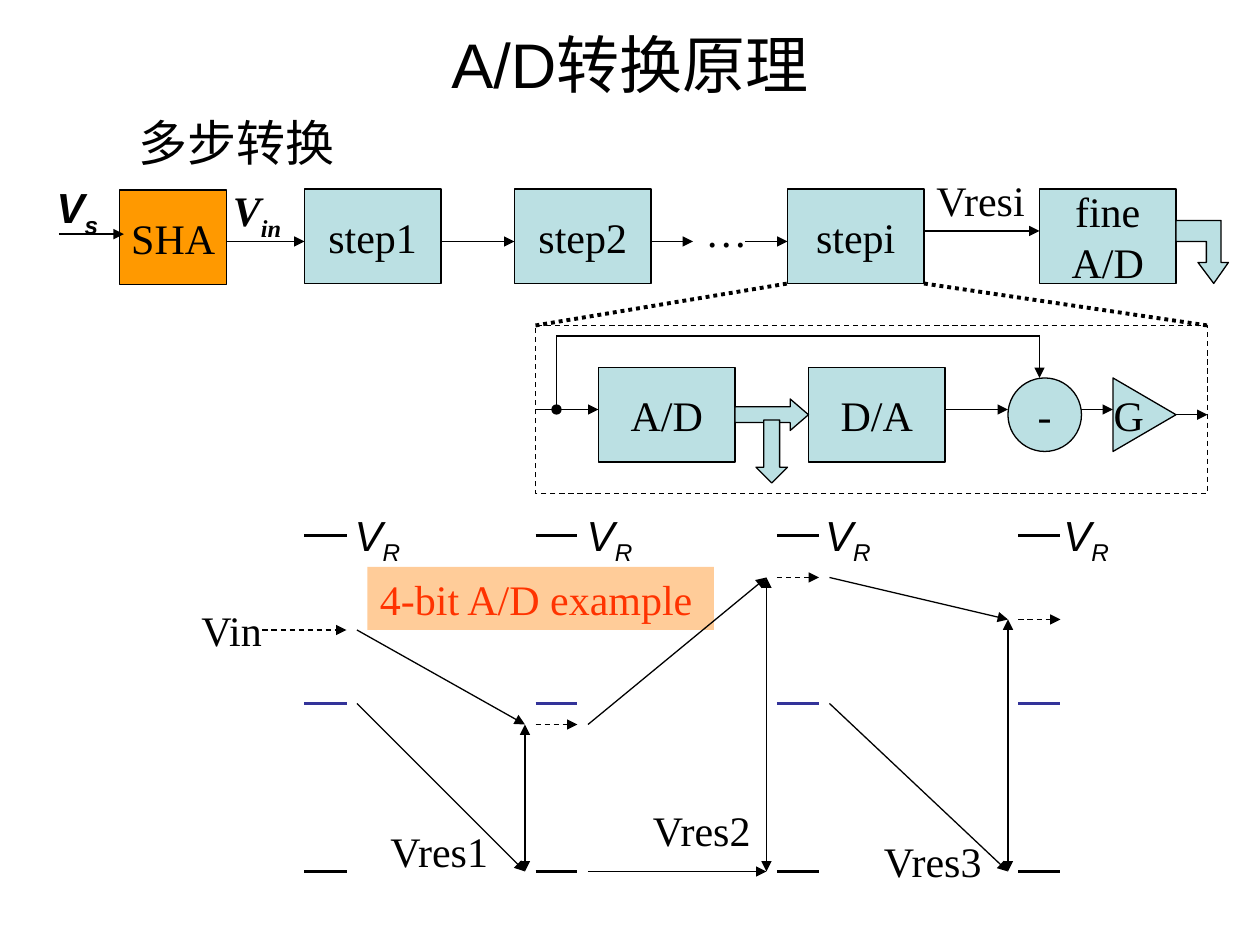
from dataclasses import dataclass
from typing import NamedTuple, Optional

from lxml.etree import SubElement
from pptx import Presentation
from pptx.dml.color import RGBColor
from pptx.enum.dml import MSO_LINE_DASH_STYLE as Dash
from pptx.enum.shapes import MSO_CONNECTOR as Connector, MSO_SHAPE as Preset
from pptx.enum.text import MSO_ANCHOR as Anchor, MSO_AUTO_SIZE as AutoSize, PP_ALIGN as Align
from pptx.oxml.ns import qn
from pptx.util import Pt

PX = 7620  # EMU per px, 120 px to the inch


@dataclass(frozen=True)
class Theme:
    black: str = "000000"
    block: str = "BBE0E3"
    sampler: str = "FF9900"
    middle: str = "333399"
    note_fill: str = "FFCC99"
    note_text: str = "FF3300"
    serif: str = "Times New Roman"
    sans: str = "Arial"
    title: int = 36
    subtitle: int = 28
    body: int = 24
    thin: float = 0.75
    thick: float = 2.25


THEME = Theme()


class Block(NamedTuple):
    text: str
    x: int
    y: int
    w: int = 130
    h: int = 90
    fill: Optional[str] = THEME.block
    preset: Preset = Preset.RECTANGLE
    dash: Optional[Dash] = None
    adjust: tuple = ()


class Line(NamedTuple):
    x1: int
    y1: int
    x2: int
    y2: int
    tail: Optional[str] = "triangle"
    head: Optional[str] = None
    dash: Optional[Dash] = None
    width: float = THEME.thin
    color: str = THEME.black


class Label(NamedTuple):
    text: str
    x: int
    y: int
    w: int
    h: int = 60
    sub: str = ""
    font: str = THEME.serif
    size: int = THEME.body
    bold: bool = False
    italic: bool = False


def rgb(color: str) -> RGBColor:
    return RGBColor.from_string(color)


def write(frame, text: str, *, sub: str = "", font: str = THEME.serif, size: int = THEME.body,
          color: str = THEME.black, bold: bool = False, italic: bool = False,
          align: Align = Align.LEFT) -> None:
    """Fill a frame, one paragraph a line, with an optional subscript at the end."""
    for number, line in enumerate(text.split("\n")):
        para = frame.add_paragraph() if number else frame.paragraphs[0]
        para.alignment = align
        for part in filter(None, (line, sub)):
            span = para.add_run()
            span.text = part
            span.font.name, span.font.size = font, Pt(size)
            span.font.bold, span.font.italic = bold, italic
            span.font.color.rgb = rgb(color)
            if part == sub:
                span.font._element.set("baseline", "-25000")


def outline(shape, dash: Optional[Dash] = None) -> None:
    shape.line.color.rgb = rgb(THEME.black)
    shape.line.width = Pt(THEME.thin)
    if dash:
        shape.line.dash_style = dash


def draw_block(shapes, block: Block):
    shape = shapes.add_shape(block.preset, *(PX * n for n in (block.x, block.y, block.w, block.h)))
    shape.shadow.inherit = False
    for index, value in enumerate(block.adjust):
        shape.adjustments[index] = value
    if block.fill:
        shape.fill.solid()
        shape.fill.fore_color.rgb = rgb(block.fill)
    else:
        shape.fill.background()
    outline(shape, block.dash)
    if block.text:
        shape.text_frame.word_wrap = False
        shape.text_frame.vertical_anchor = Anchor.MIDDLE
        write(shape.text_frame, block.text, align=Align.CENTER)
    return shape


def draw_line(shapes, line: Line) -> None:
    connector = shapes.add_connector(
        Connector.STRAIGHT, *(PX * n for n in (line.x1, line.y1, line.x2, line.y2)))
    connector.line.color.rgb = rgb(line.color)
    connector.line.width = Pt(line.width)
    if line.dash:
        connector.line.dash_style = line.dash
    for tag, kind in (("a:headEnd", line.head), ("a:tailEnd", line.tail)):
        if kind:
            SubElement(connector.line._get_or_add_ln(), qn(tag), type=kind)
    SubElement(connector._element.spPr, qn("a:effectLst"))


def draw_label(shapes, label: Label) -> None:
    box = shapes.add_textbox(*(PX * n for n in (label.x, label.y, label.w, label.h)))
    box.text_frame.word_wrap = True
    box.text_frame.auto_size = AutoSize.SHAPE_TO_FIT_TEXT
    write(box.text_frame, label.text, sub=label.sub, font=label.font, size=label.size,
          bold=label.bold, italic=label.italic)


def draw_title(slide) -> None:
    title = slide.shapes.title
    title.left, title.top, title.width, title.height = (PX * n for n in (90, 30, 1020, 60))
    title.text_frame.vertical_anchor = Anchor.MIDDLE
    title.text_frame.auto_size = AutoSize.NONE
    write(title.text_frame, "A/D转换原理", font=THEME.sans, size=THEME.title, align=Align.CENTER)


def draw_example(shapes) -> None:
    # Highlighted note
    note = draw_block(shapes, Block("", 350, 540, 330, 60, THEME.note_fill))
    note.line.fill.background()
    note.text_frame.vertical_anchor = Anchor.TOP
    write(note.text_frame, "4-bit A/D example", color=THEME.note_text)

    # Level marks: full scale, middle and zero at each stage
    for x, label_x in ((290, 326), (510, 547), (740, 774), (970, 1001)):
        for y, color in ((510, THEME.black), (670, THEME.middle), (830, THEME.black)):
            draw_line(shapes, Line(x, y, x + 40, y, tail=None, width=THEME.thick, color=color))
        draw_label(shapes, Label("V", label_x, 479, 100, 67, "R", THEME.sans, italic=True))

    # Input level of each stage
    for x1, x2, y in ((250, 330, 600), (510, 550, 690), (740, 780, 550), (970, 1010, 590)):
        draw_line(shapes, Line(x1, y, x2, y, dash=Dash.DASH))

    # Residue ranges, stretched from one stage to the next
    for x1, x2, level, base, top in ((340, 500, 600, 670, 690), (560, 730, 690, 830, 550),
                                     (790, 960, 550, 670, 590)):
        draw_line(shapes, Line(x1, level, x2, top))
        draw_line(shapes, Line(x1, base, x2, 830))
        draw_line(shapes, Line(x2, 830, x2, top, head="triangle"))

    for text, x, y, w in (("Vin", 180, 570, 100), ("Vres1", 360, 780, 130),
                          ("Vres2", 610, 760, 130), ("Vres3", 830, 790, 130)):
        draw_label(shapes, Label(text, x, y, w))


def draw_pipeline(shapes) -> None:
    # Chain of conversion steps
    for block in (Block("SHA", 114, 181, 102, fill=THEME.sampler), Block("step1", 290, 180),
                  Block("step2", 490, 180), Block("stepi", 750, 180),
                  Block("fine\nA/D", 990, 180)):
        draw_block(shapes, block)
    for x1, x2, y in ((56, 118, 223), (216, 290, 230), (420, 490, 230), (620, 660, 230),
                      (710, 750, 230), (880, 990, 220)):
        draw_line(shapes, Line(x1, y, x2, y))
    for label in (Label("V", 42, 167, 100, 67, "s", THEME.sans, bold=True, italic=True),
                  Label("V", 210, 170, 100, 67, "in", bold=True, italic=True),
                  Label("…", 660, 190, 70), Label("Vresi", 880, 160, 120)):
        draw_label(shapes, label)

    # Bent output arrow
    builder = shapes.build_freeform(1156, 270, scale=PX)
    builder.add_line_segments([(1141, 250), (1149, 250), (1149, 230), (1120, 230), (1120, 210),
                               (1163, 210), (1163, 250), (1170, 250)], close=True)
    output = builder.convert_to_shape()
    output.shadow.inherit = False
    output.fill.solid()
    output.fill.fore_color.rgb = rgb(THEME.block)
    outline(output)


def draw_step_detail(shapes) -> None:
    # Frame and its zoom lines
    for x1, y1, x2, y2 in ((510, 310, 750, 270), (880, 270, 1150, 310)):
        draw_line(shapes, Line(x1, y1, x2, y2, None, dash=Dash.ROUND_DOT, width=THEME.thick))
    for block in (Block("", 510, 310, 640, 160, None, dash=Dash.DASH),
                  Block("A/D", 570, 350), Block("D/A", 770, 350),
                  Block("-", 960, 360, 70, 70, preset=Preset.OVAL),
                  Block("", 700, 380, 70, 30, preset=Preset.RIGHT_ARROW, adjust=(0.5, 0.58)),
                  Block("", 720, 400, 30, 60, preset=Preset.DOWN_ARROW, adjust=(0.5, 0.5))):
        draw_block(shapes, block)

    # Amplifier, turned to the right with upright text
    gain = draw_block(shapes, Block("G", 1055, 365, 70, 60, preset=Preset.ISOSCELES_TRIANGLE))
    gain.rotation = 90
    gain.text_frame._txBody.bodyPr.set("vert", "vert270")

    # Signal flow and bypass
    for line in (Line(510, 390, 570, 390), Line(900, 390, 960, 390), Line(1030, 390, 1060, 390),
                 Line(1120, 395, 1150, 395), Line(530, 390, 530, 320, None, "oval"),
                 Line(530, 320, 990, 320, None), Line(990, 320, 990, 360)):
        draw_line(shapes, line)


def main() -> None:
    deck = Presentation()
    deck.slide_width, deck.slide_height = 1200 * PX, 900 * PX
    slide = deck.slides.add_slide(deck.slide_layouts[5])
    draw_title(slide)
    draw_label(slide.shapes, Label("多步转换", 120, 101, 220, 68, size=THEME.subtitle))
    draw_example(slide.shapes)
    draw_pipeline(slide.shapes)
    draw_step_detail(slide.shapes)
    deck.save("out.pptx")


if __name__ == "__main__":
    main()
